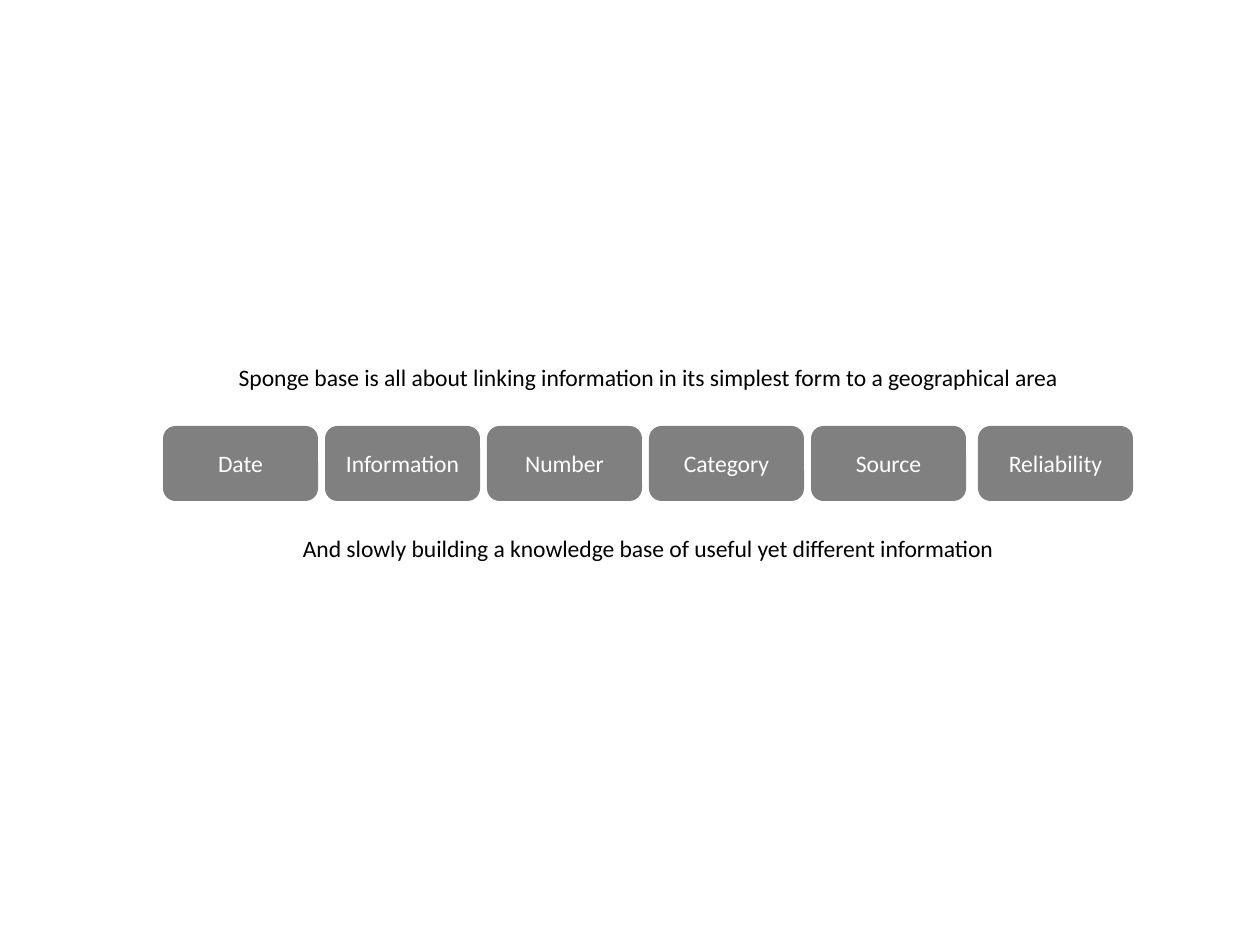
from pptx import Presentation
from pptx.dml.color import RGBColor
from pptx.enum.shapes import MSO_SHAPE
from pptx.enum.text import MSO_ANCHOR, PP_ALIGN
from pptx.util import Pt

ROUND = MSO_SHAPE.ROUNDED_RECTANGLE
MIDDLE = MSO_ANCHOR.MIDDLE
CENTER = PP_ALIGN.CENTER
SCALE = 914400 / 126  # EMU per px

LEFT, WIDTH = 163, 970
BOX_W, BOX_H, STEP = 155, 75, 162
FIELDS = ["Date", "Information", "Number", "Category", "Source"]


def emu(*px):
    return [round(n * SCALE) for n in px]


def color(code):
    return RGBColor.from_string(code)


class Page:
    font, size = "Calibri", 13.5
    ink, gray, white = "000000", "808080", "FFFFFF"

    def __init__(self, slide):
        self.slide = slide

    def set_text(self, shape, text, tint):
        frame = shape.text_frame
        frame.word_wrap = True
        para = frame.paragraphs[0]
        para.text = text
        para.alignment = CENTER
        para.font.name = self.font
        para.font.size = Pt(self.size)
        para.font.color.rgb = color(tint)

    def label(self, text, x, y, w, h):
        shape = self.slide.shapes.add_textbox(*emu(x, y, w, h))
        self.set_text(shape, text, self.ink)

    def box(self, text, x, y, w, h):
        shape = self.slide.shapes.add_shape(ROUND, *emu(x, y, w, h))
        shape.shadow.inherit = False
        shape.fill.solid()
        shape.fill.fore_color.rgb = color(self.gray)
        shape.line.fill.background()
        shape.text_frame.vertical_anchor = MIDDLE
        self.set_text(shape, text, self.white)


def main():
    deck = Presentation()
    deck.slide_width, deck.slide_height = emu(1260, 945)
    page = Page(deck.slides.add_slide(deck.slide_layouts[6]))

    page.label("Sponge base is all about linking information in its simplest form "
               "to a geographical area", LEFT, 357, WIDTH, 42)
    spots = [(name, LEFT + i * STEP) for i, name in enumerate(FIELDS)]
    # The last box ends flush with the text above and below.
    spots.append(("Reliability", LEFT + WIDTH - BOX_W))
    for name, x in spots:
        page.box(name, x, 426, BOX_W, BOX_H)
    page.label("And slowly building a knowledge base of useful yet different information",
               LEFT, 528, WIDTH, 71)
    deck.save("out.pptx")


if __name__ == "__main__":
    main()
